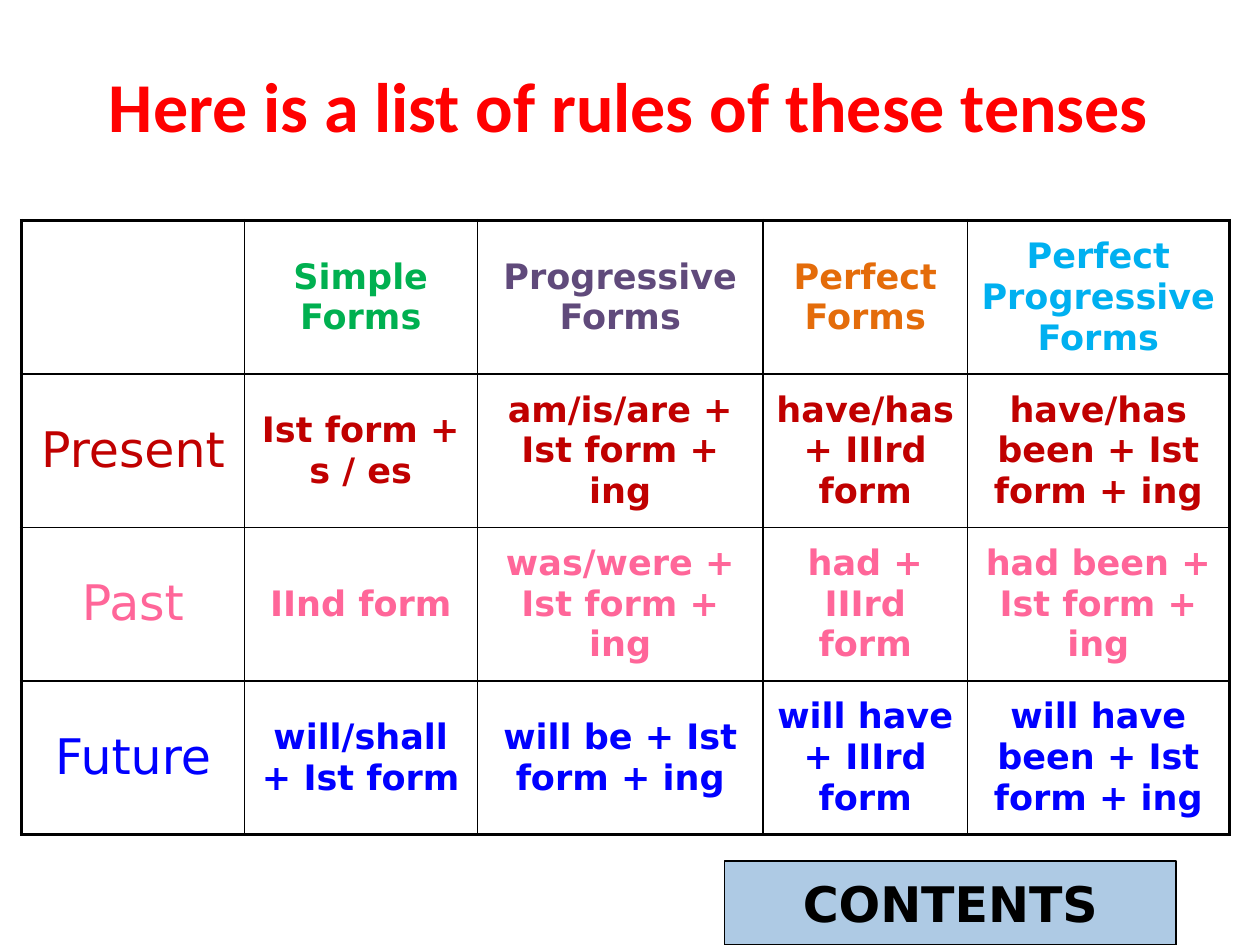
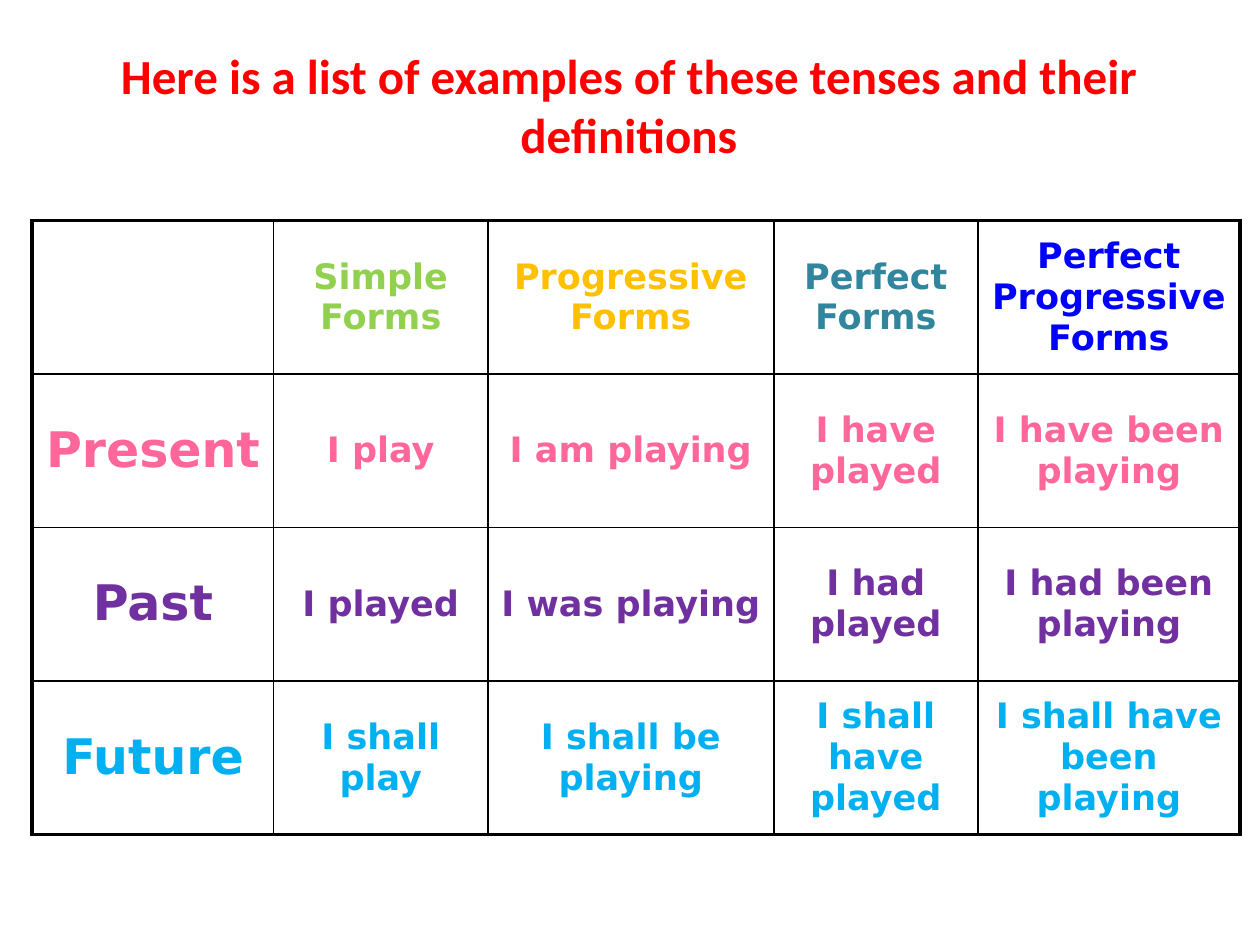
import pptx
import pptx.util
import pptx.dml.color
import pptx.enum.shapes
import pptx.enum.text
from lxml import etree

Pt = pptx.util.Pt
RGB = pptx.dml.color.RGBColor.from_string
NS = "http://schemas.openxmlformats.org/drawingml/2006/main"
HEX = {
    "black": "000000", "red": "FF0000", "green": "00B050", "plum": "604A7B",
    "orange": "E46C0A", "sky": "00B0F0", "wine": "C00000", "pink": "FF6699",
    "blue": "0000FF", "lime": "92D050", "gold": "FFC000", "teal": "31859C",
    "purple": "7030A0", "pale": "AECAE4",
}
HEADS = ["Simple Forms", "Progressive Forms", "Perfect Forms",
         "Perfect Progressive Forms"]
TENSES = ["Present", "Past", "Future"]
THIN, THICK = 1, 2.25
TOP, ROW = 126, 87.7
WIDE = [163.4, 116.6, 149.8]  # last three columns, the same on both slides

PAGES = [
    {
        "title": "Here is a list of rules of these tenses", "size": 40,
        "left": 12.4, "cols": [127.2, 133.2] + WIDE, "bold": False,
        "heads": ["green", "plum", "orange", "sky"],
        "tones": ["wine", "pink", "blue"],
        "forms": [
            ["Ist form + s / es", "am/is/are + Ist form + ing",
             "have/has + IIIrd form", "have/has been + Ist form + ing"],
            ["IInd form", "was/were + Ist form + ing",
             "had + IIIrd form", "had been + Ist form + ing"],
            ["will/shall + Ist form", "will be + Ist form + ing",
             "will have + IIIrd form", "will have been + Ist form + ing"],
        ],
        "button": "CONTENTS",
    },
    {
        "title": "Here is a list of examples of these tenses and their definitions",
        "size": 28,
        "left": 18.4, "cols": [138, 122.4] + WIDE, "bold": True,
        "heads": ["lime", "gold", "teal", "blue"],
        "tones": ["pink", "purple", "sky"],
        "forms": [
            ["I play", "I am playing", "I have played", "I have been playing"],
            ["I played", "I was playing", "I had played", "I had been playing"],
            ["I shall play", "I shall be playing", "I shall have played",
             "I shall have been playing"],
        ],
        "button": None,
    },
]


def write(frame, text, size, tone, bold=True, font="DejaVu Sans"):
    """Put one centred run into a text frame."""
    para = frame.paragraphs[0]
    para.alignment = pptx.enum.text.PP_ALIGN.CENTER
    run = para.add_run()
    run.text = text
    run.font.name = font
    run.font.size = Pt(size)
    run.font.bold = bold
    run.font.color.rgb = RGB(HEX[tone])


def frame_cell(cell, widths):
    """Draw black borders; widths maps a side (L, R, T, B) to points."""
    props = cell._tc.get_or_add_tcPr()
    for place, (side, width) in enumerate(widths.items()):
        line = etree.Element(f"{{{NS}}}ln{side}", w=str(Pt(width)))
        fill = etree.SubElement(line, f"{{{NS}}}solidFill")
        etree.SubElement(fill, f"{{{NS}}}srgbClr", val=HEX["black"])
        props.insert(place, line)


deck = pptx.Presentation()
deck.slide_width, deck.slide_height = Pt(720), Pt(540)
middle = pptx.enum.text.MSO_ANCHOR.MIDDLE

for page in PAGES:
    slide = deck.slides.add_slide(deck.slide_layouts[6])

    title = slide.shapes.add_textbox(Pt(34.6), Pt(8), Pt(649.4), Pt(103.6))
    title.text_frame.word_wrap = True
    title.text_frame.vertical_anchor = middle
    write(title.text_frame, page["title"], page["size"], "red", font="Calibri")

    texts = [[""] + HEADS]
    texts += [[name] + forms for name, forms in zip(TENSES, page["forms"])]
    tones = [["black"] + page["heads"]] + [[tone] * 5 for tone in page["tones"]]
    rows, cols = len(texts), len(page["cols"])

    table = slide.shapes.add_table(rows, cols, Pt(page["left"]), Pt(TOP),
                                   Pt(sum(page["cols"])), Pt(ROW * rows)).table
    for col, width in zip(table.columns, page["cols"]):
        col.width = Pt(width)
    for r in range(rows):
        table.rows[r].height = Pt(ROW)
        for c in range(cols):
            cell = table.cell(r, c)
            cell.fill.background()
            cell.vertical_anchor = middle
            frame_cell(cell, {
                "L": THICK if c == 0 else THIN,
                "R": THICK if c == cols - 1 else THIN,
                "T": THICK if r == 0 else THIN,
                "B": THICK if r == rows - 1 else THIN,
            })
            if texts[r][c]:
                write(cell.text_frame, texts[r][c], 20 if c else 28,
                      tones[r][c], bold=c > 0 or page["bold"])

    if page["button"]:
        button = slide.shapes.add_shape(
            pptx.enum.shapes.MSO_SHAPE.ACTION_BUTTON_CUSTOM,
            Pt(414), Pt(492), Pt(258), Pt(48))
        button.shadow.inherit = False
        button.fill.solid()
        button.fill.fore_color.rgb = RGB(HEX["pale"])
        button.line.color.rgb = RGB(HEX["black"])
        button.line.width = Pt(0.75)
        button.text_frame.word_wrap = False
        button.text_frame.vertical_anchor = middle
        write(button.text_frame, page["button"], 28, "black")

deck.save("out.pptx")
